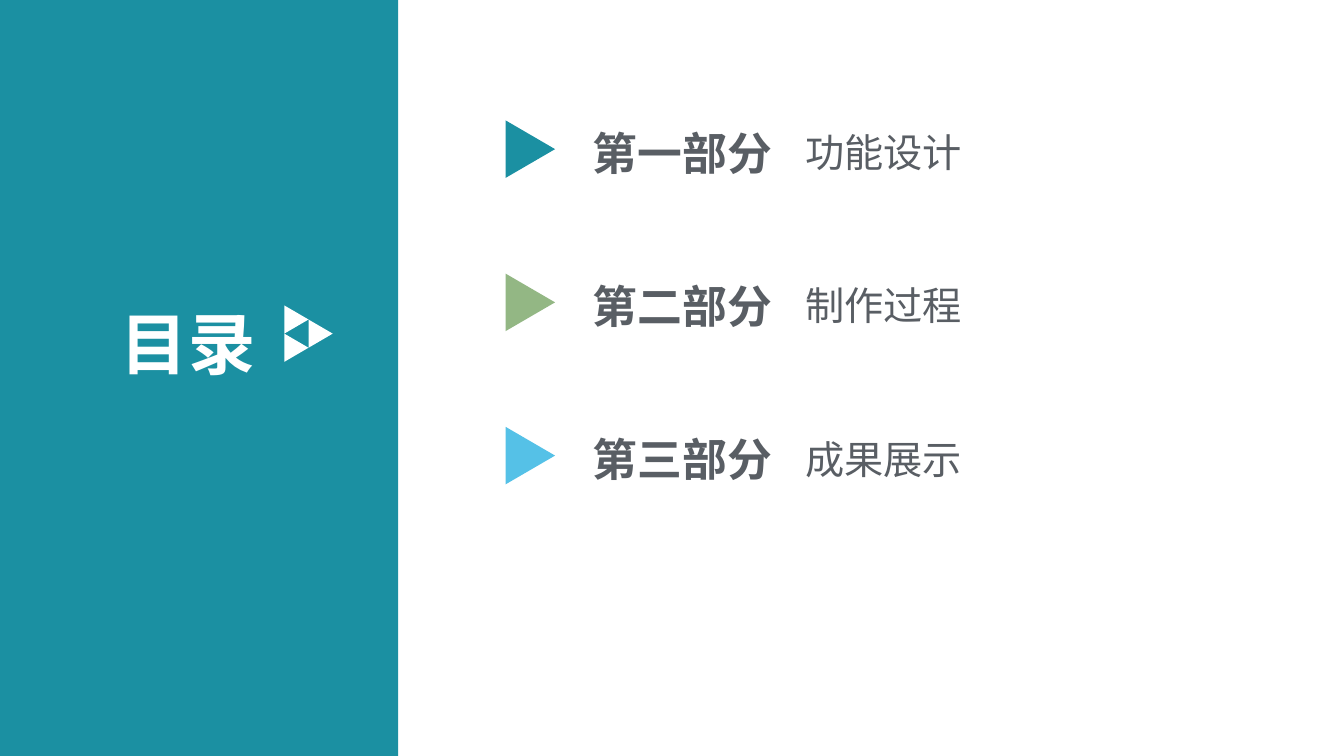
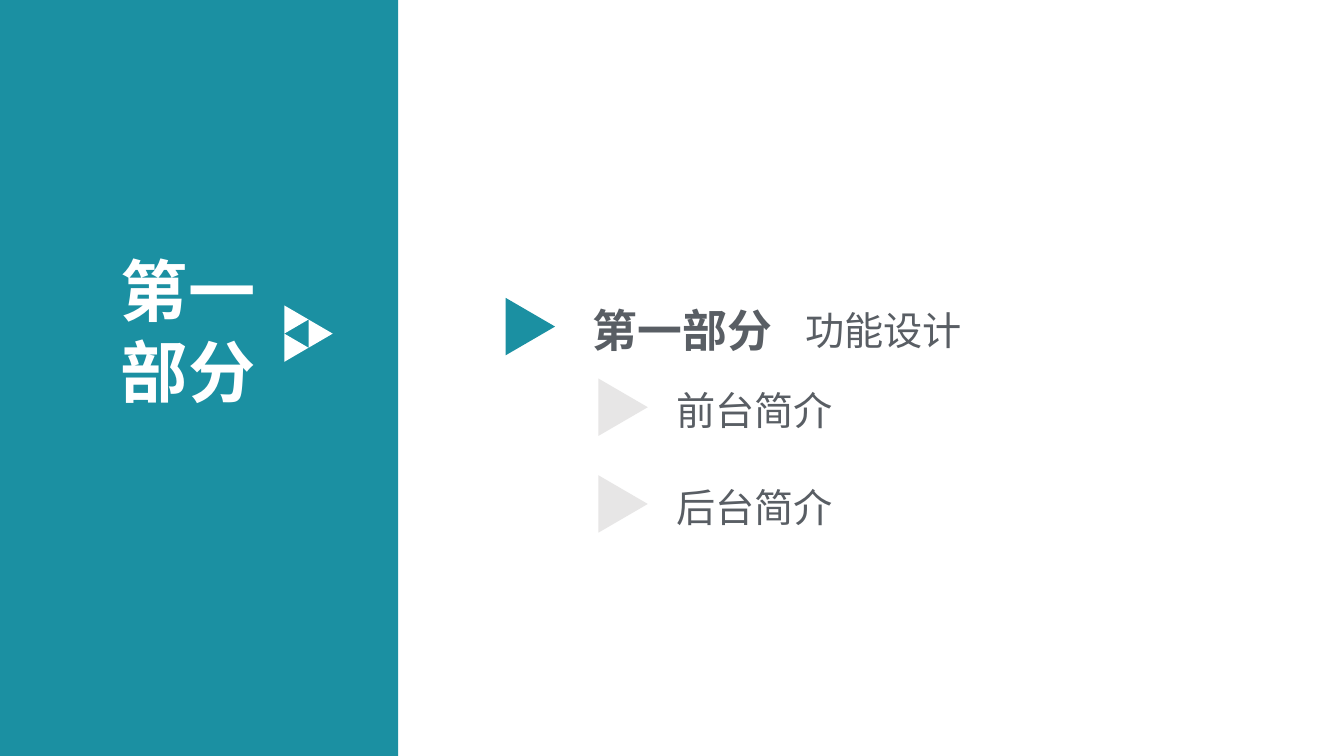
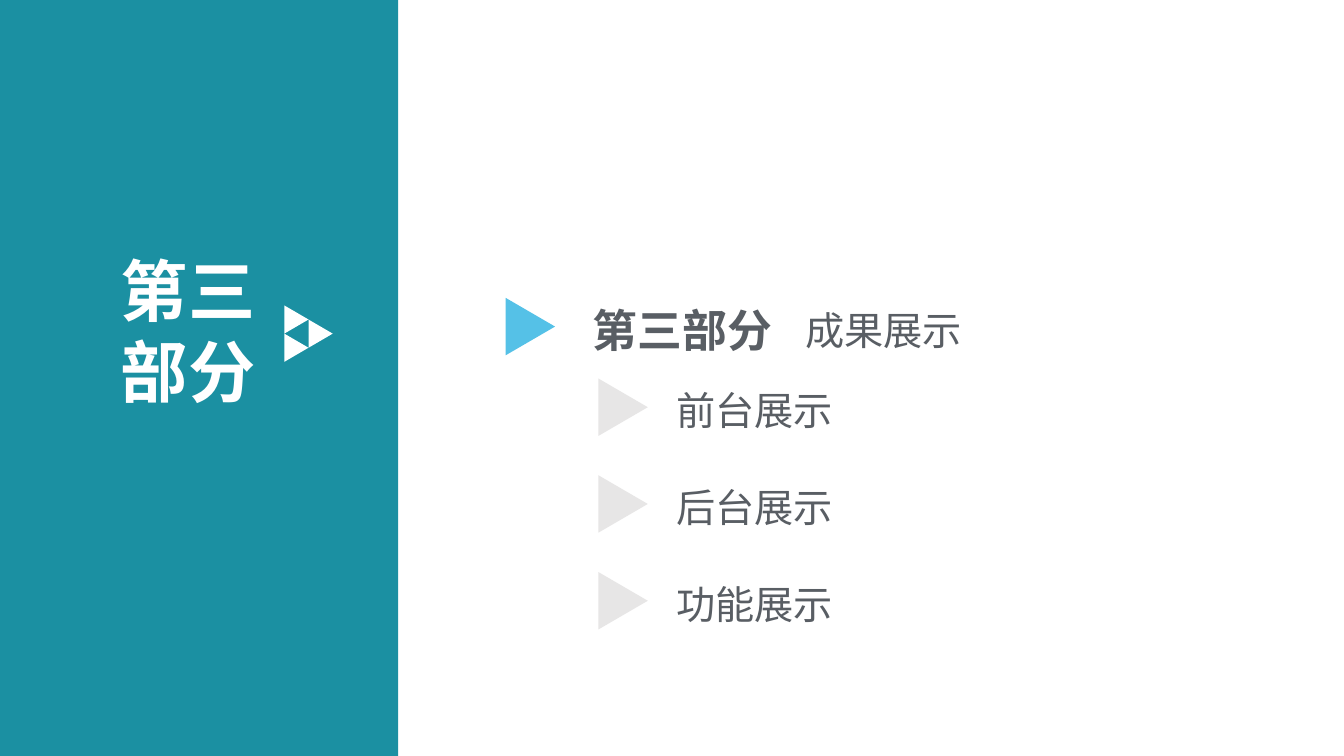
from pptx import Presentation
from pptx.dml.color import RGBColor
from pptx.enum import shapes as kinds, text as modes
from pptx.oxml.ns import qn
from pptx.util import Inches, Pt

FONT = "Noto Sans CJK SC"
TEAL, GREEN, BLUE = "1B90A2", "93B784", "55C1E7"
PALE, GREY, WHITE = "E7E6E6", "595E64", "FFFFFF"
HEAD = dict(size=48, color=WHITE, bold=True)
LABEL = dict(size=32, color=GREY, bold=True)
ITEM = dict(size=28, color=GREY, bold=False)
STEP = 0.96
PARTS = [("第一部分", "功能设计", TEAL),
         ("第二部分", "制作过程", GREEN),
         ("第三部分", "成果展示", BLUE)]


def rgb(code):
    return RGBColor.from_string(code)


def shape(slide, kind, box, color):
    part = slide.shapes.add_shape(kind, *map(Inches, box))
    part.shadow.inherit = False
    part.fill.solid()
    part.fill.fore_color.rgb = rgb(color)
    part.line.fill.background()
    return part


def arrow(slide, x, y, color, wide=0.57, high=0.49):
    """Triangle pointing right, centred on x, y."""
    box = (x - wide / 2, y - high / 2, wide, high)
    part = shape(slide, kinds.MSO_SHAPE.ISOSCELES_TRIANGLE, box, color)
    part.rotation = 90
    return part


def write(holder, lines, x, y, wide, style, gap=0):
    """Fill a text shape; y is the middle of the first line's characters."""
    size = style["size"]
    line = round(size * 1.21)
    high = 0.1 + (len(lines) * line + (len(lines) - 1) * gap) / 72
    box = (x, y - 0.05 - 0.54 * size / 72, wide, high)
    for name, value in zip(("left", "top", "width", "height"), box):
        setattr(holder, name, Inches(value))
    frame = holder.text_frame
    frame.text = "\n".join(lines)
    looks = dict(word_wrap=True, auto_size=modes.MSO_AUTO_SIZE.NONE,
                 vertical_anchor=modes.MSO_ANCHOR.TOP)
    for name, value in looks.items():
        setattr(frame, name, value)
    form = dict(alignment=modes.PP_ALIGN.LEFT, line_spacing=Pt(line),
                space_before=Pt(0), space_after=Pt(gap))
    for para in frame.paragraphs:
        for name, value in form.items():
            setattr(para, name, value)
        props = para._p.get_or_add_pPr()
        props.set("marL", "0")
        props.set("indent", "0")
        props.append(props.makeelement(qn("a:buNone"), {}))
        font = para.runs[0].font
        font.name, font.size, font.bold = FONT, Pt(size), style["bold"]
        font.color.rgb = rgb(style["color"])
        east = font._element.makeelement(qn("a:ea"), {"typeface": FONT})
        font._element.find(qn("a:latin")).addnext(east)


def brand(prs, slide):
    """Put the side band and its emblem on the slide master."""
    parts = [shape(slide, kinds.MSO_SHAPE.RECTANGLE, (0, 0, 3.95, 7.5), TEAL)]
    for x, y in ((2.94, 3.17), (2.94, 3.45), (3.18, 3.31)):
        parts.append(arrow(slide, x, y, WHITE, 0.28, 0.24))
    tree = prs.slide_master.shapes.element
    for i, part in enumerate(parts):
        part.element.xpath(".//p:cNvPr")[0].set("id", str(100 + i))
        tree.insert(2 + i, part.element)


def row(slide, y, label, name, color):
    arrow(slide, 5.26, y, color)
    for words, x, wide, style in ((label, 5.78, 2.11, LABEL),
                                  (name, 7.89, 4, ITEM)):
        box = slide.shapes.add_textbox(0, 0, 0, 0)
        write(box, [words], x, y, wide, style)


def agenda(prs):
    slide = prs.slides.add_slide(prs.slide_layouts[5])
    brand(prs, slide)
    write(slide.shapes.title, ["目录"], 1.1, 3.35, 1.74, HEAD)
    for i, part in enumerate(PARTS):
        row(slide, 1.48 + i * 1.52, *part)


def section(prs, part, items):
    slide = prs.slides.add_slide(prs.slide_layouts[1])
    title = slide.shapes.title
    write(title, [part[0]], 1.1, 2.83, 1.74, HEAD)
    title.height = Inches(1.72)
    row(slide, 3.24, *part)
    first = 4.04
    for i in range(len(items)):
        arrow(slide, 6.18, first + i * STEP, PALE)
    gap = STEP * 72 - round(ITEM["size"] * 1.21)
    write(slide.placeholders[1], items, 6.61, first, 4, ITEM, gap)


def main():
    prs = Presentation()
    prs.slide_width, prs.slide_height = Inches(13.33), Inches(7.5)
    agenda(prs)
    section(prs, PARTS[0], ["前台简介", "后台简介"])
    section(prs, PARTS[2], ["前台展示", "后台展示", "功能展示"])
    prs.save("out.pptx")


if __name__ == "__main__":
    main()
